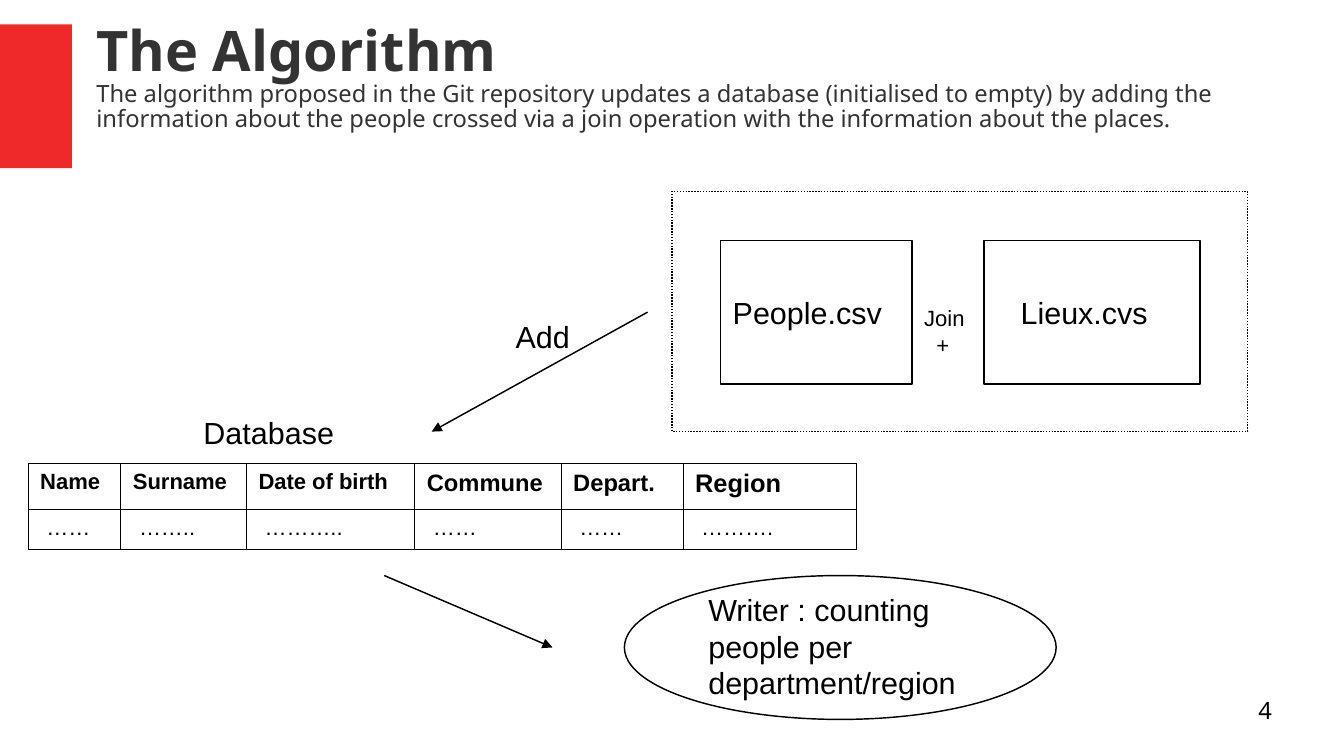
from pptx import Presentation, util as u
from pptx.dml.color import RGBColor
from pptx.enum import dml, shapes, text
from pptx.oxml import parse_xml
from pptx.oxml.ns import nsdecls

RECT = shapes.MSO_SHAPE.RECTANGLE
OVAL = shapes.MSO_SHAPE.OVAL


def color(code):
    return RGBColor.from_string(code)


class Deck:
    ink = "000000"
    font = "Arial"
    size = 18
    rule = 0.85

    def __init__(self, wide, high):
        self.prs = Presentation()
        self.prs.slide_width = u.Inches(wide)
        self.prs.slide_height = u.Inches(high)
        self.slide = self.prs.slides.add_slide(self.prs.slide_layouts[6])

    def run(self, para, words, size=None, bold=False, font=None, ink=None):
        run = para.add_run()
        run.text = words
        run.font.size = u.Pt(size or self.size)
        run.font.bold = bold
        run.font.name = font or self.font
        run.font.color.rgb = color(ink or self.ink)

    def label(self, at, lines, pad=(0.1, 0.05), align=None, space=None, **style):
        frame = self.slide.shapes.add_textbox(*map(u.Inches, at)).text_frame
        frame.word_wrap = True
        frame.margin_left = frame.margin_right = u.Inches(pad[0])
        frame.margin_top = frame.margin_bottom = u.Inches(pad[1])
        for i, (words, more) in enumerate(lines):
            para = frame.add_paragraph() if i else frame.paragraphs[0]
            para.alignment = align
            para.line_spacing = space
            more = dict(more)
            indent = more.pop("indent", 0)
            if indent:
                para._p.get_or_add_pPr().set("marL", str(u.Inches(indent)))
            self.run(para, words, **{**style, **more})

    def shape(self, kind, at, fill=None, dash=None):
        item = self.slide.shapes.add_shape(kind, *map(u.Inches, at))
        item.shadow.inherit = False
        if fill:
            item.fill.solid()
            item.fill.fore_color.rgb = color(fill)
            item.line.fill.background()
            return
        item.fill.background()
        item.line.color.rgb = color(self.ink)
        item.line.width = u.Pt(self.rule)
        if dash:
            item.line.dash_style = dash

    def arrow(self, start, end):
        item = self.slide.shapes.add_connector(
            shapes.MSO_CONNECTOR.STRAIGHT, *map(u.Inches, start + end))
        item.line.color.rgb = color(self.ink)
        item.line.width = u.Pt(self.rule)
        item.line._get_or_add_ln().append(
            parse_xml(f'<a:tailEnd {nsdecls("a")} type="triangle"/>'))
        item._element.spPr.append(parse_xml(f'<a:effectLst {nsdecls("a")}/>'))

    def border(self, cell, width):
        props = cell._tc.get_or_add_tcPr()
        for side in "LRTB":
            props.append(parse_xml(
                f'<a:ln{side} {nsdecls("a")} w="{u.Pt(width)}"><a:solidFill>'
                f'<a:srgbClr val="{self.ink}"/></a:solidFill></a:ln{side}>'))

    def table(self, left, top, cols, rows, heads, body):
        grid = self.slide.shapes.add_table(
            len(rows), len(cols), u.Inches(left), u.Inches(top),
            u.Inches(sum(cols)), u.Inches(sum(rows))).table
        grid.first_row = grid.horz_banding = False
        for col, wide in zip(grid.columns, cols):
            col.width = u.Inches(wide)
        for row, high in zip(grid.rows, rows):
            row.height = u.Inches(high)
        for r, line in enumerate((heads, body)):
            for c, (words, size) in enumerate(line):
                cell = grid.cell(r, c)
                self.border(cell, 0.57)
                cell.fill.background()
                cell.margin_left = u.Inches(0.15 if r else 0.1)
                cell.margin_right = u.Inches(0.1)
                cell.margin_top = cell.margin_bottom = u.Inches(0.05)
                self.run(cell.text_frame.paragraphs[0], words, size, bold=r == 0)


def main():
    deck = Deck(11.02, 6.2)
    deck.shape(RECT, (0, 0.2, 0.59, 1.18), fill="EF2929")
    deck.label((0.79, 0.2, 9.84, 1.18), [
        ("The Algorithm", {"size": 33, "bold": True}),
        ("The algorithm proposed in the Git repository updates a database "
         "(initialised to empty) by adding the information about the people "
         "crossed via a join operation with the information about the places.",
         {"size": 14}),
    ], pad=(0, 0), space=0.87, font="Noto Sans", ink="333333")

    deck.shape(RECT, (5.91, 1.97, 1.57, 1.18))
    deck.shape(RECT, (8.07, 1.97, 1.77, 1.18))
    deck.shape(RECT, (5.51, 1.57, 4.72, 1.97), dash=dml.MSO_LINE.ROUND_DOT)
    deck.label((7.48, 2.45, 0.59, 0.5),
               [("Join", {}), ("+", {"indent": 0.1})], size=13)
    deck.arrow((5.31, 2.56), (3.54, 3.54))
    for words, at in (
        ("People.csv", (5.91, 2.36, 1.57, 0.66)),
        ("Lieux.cvs", (8.27, 2.36, 1.38, 0.66)),
        ("Database", (1.57, 3.35, 1.38, 0.4)),
        ("Add", (4.13, 2.56, 1.18, 0.38)),
    ):
        deck.label(at, [(words, {})])

    heads = [("Name", 13), ("Surname", 13), ("Date of birth", 13),
             ("Commune", 14), ("Depart.", 14), ("Region", 15)]
    body = [(dots, 13) for dots in
            ("……", "……..", "………..", "……", "……", "……….")]
    deck.table(0.23, 3.8, (0.76, 1.03, 1.38, 1.2, 1, 1.42), (0.38, 0.33),
               heads, body)

    deck.arrow((3.15, 4.72), (4.53, 5.31))
    deck.shape(OVAL, (5.12, 4.72, 3.54, 1.18))
    deck.label((5.71, 4.8, 2.76, 1.05),
               [("Writer : counting people per department/region", {})])
    deck.label((7.87, 5.71, 2.56, 0.43), [("4", {})], pad=(0, 0),
               align=text.PP_ALIGN.RIGHT, size=14, font="Noto Sans")
    deck.prs.save("out.pptx")


if __name__ == "__main__":
    main()
